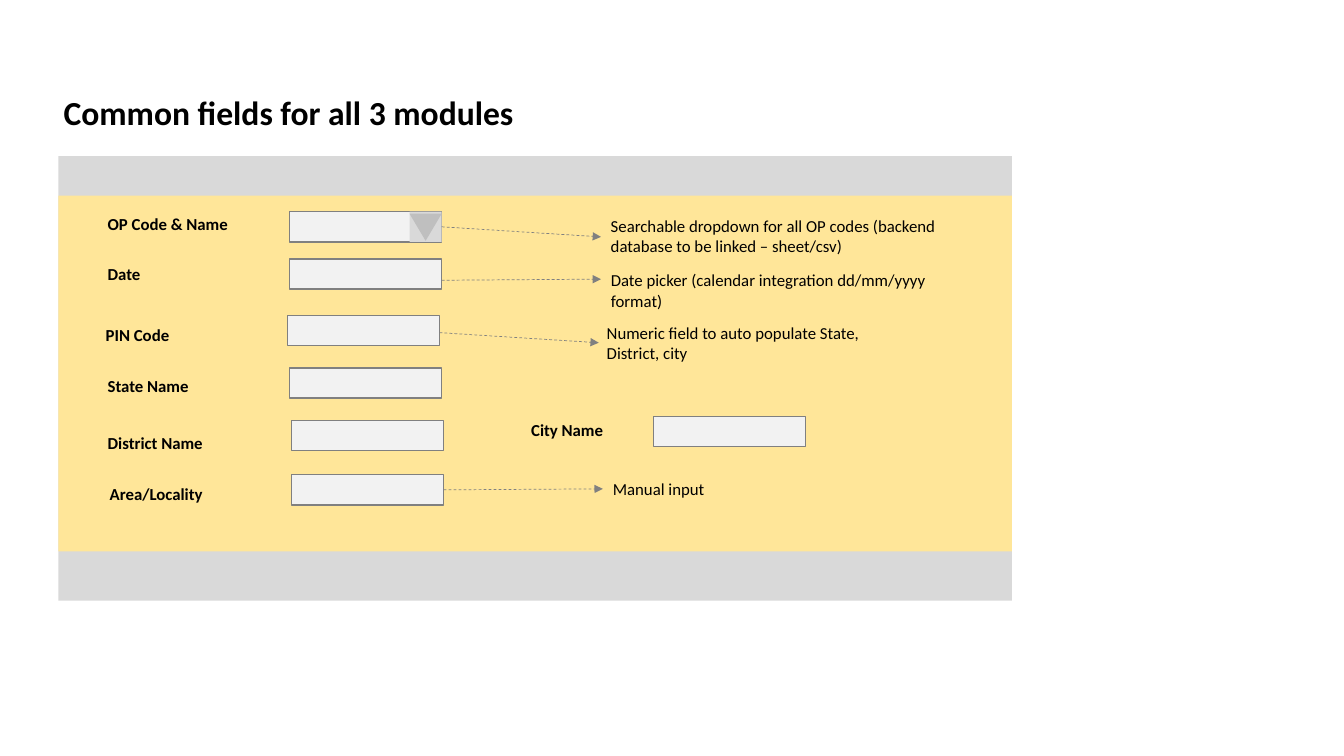
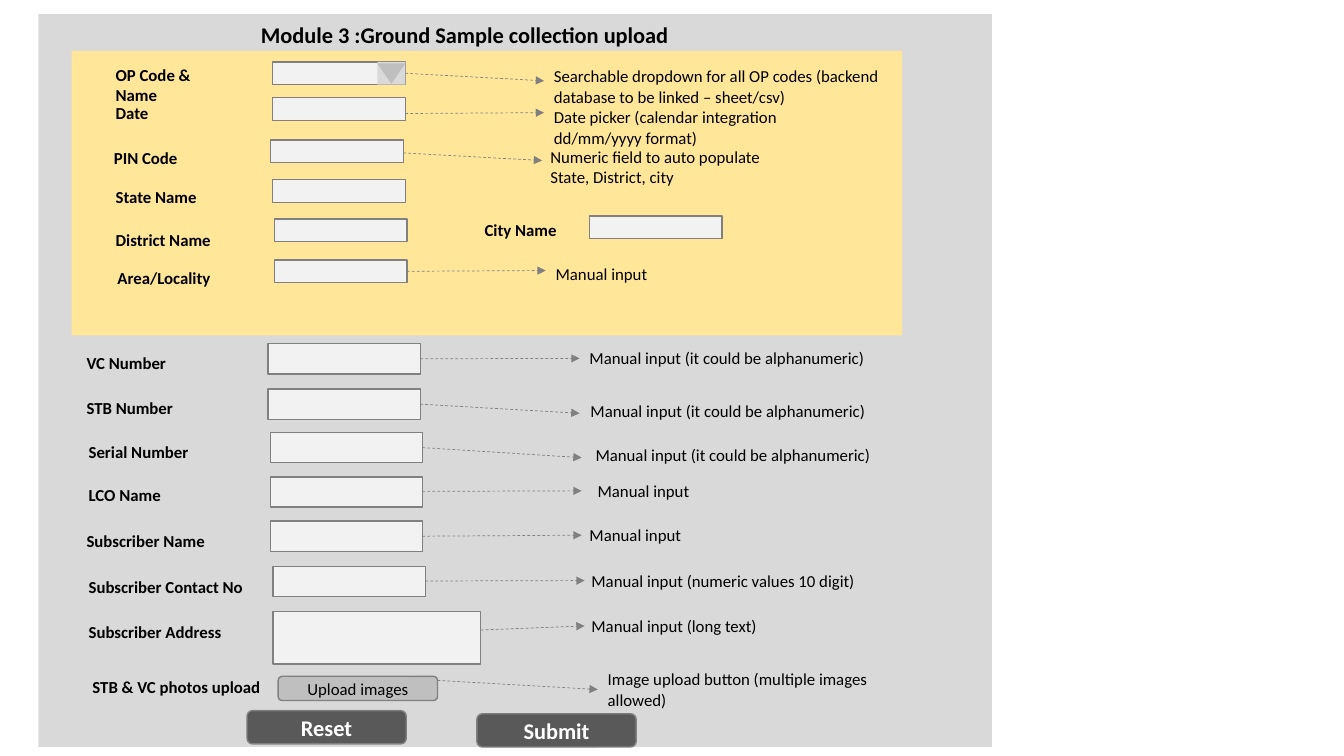
"""Builds two form wireframe slides: the common fields and the ground sample module."""
from dataclasses import dataclass

from lxml import etree
from pptx import Presentation
from pptx.dml.color import RGBColor
from pptx.enum.dml import MSO_LINE
from pptx.enum.shapes import MSO_CONNECTOR, MSO_SHAPE
from pptx.enum.text import MSO_ANCHOR, MSO_AUTO_SIZE, PP_ALIGN
from pptx.oxml.ns import qn
from pptx.util import Pt

RECT, ROUNDED, TRIANGLE = MSO_SHAPE.RECTANGLE, MSO_SHAPE.ROUNDED_RECTANGLE, MSO_SHAPE.ISOSCELES_TRIANGLE
STRAIGHT, DASH = MSO_CONNECTOR.STRAIGHT, MSO_LINE.DASH
TOP, MIDDLE = MSO_ANCHOR.TOP, MSO_ANCHOR.MIDDLE
LEFT, CENTER = PP_ALIGN.LEFT, PP_ALIGN.CENTER
GROW = MSO_AUTO_SIZE.SHAPE_TO_FIT_TEXT

BLACK = RGBColor(0, 0, 0)
WHITE = RGBColor(0xFF, 0xFF, 0xFF)
BAND = RGBColor(0xD9, 0xD9, 0xD9)
CREAM = RGBColor(0xFF, 0xE6, 0x99)
INPUT = RGBColor(0xF2, 0xF2, 0xF2)
OUTLINE = RGBColor(0x80, 0x80, 0x80)
SILVER = RGBColor(0xBF, 0xBF, 0xBF)
DARK = RGBColor(0x59, 0x59, 0x59)

FONT = "Calibri"
BODY_SIZE = 12
PANEL_WIDTH, PANEL_HEIGHT = 681.1, 317.5
INPUT_SIZE = (108.7, 21.6)
LINE_HEIGHT = 21.6


@dataclass
class Frame:
    """Origin and scale that place a group of parts on a slide."""
    left: float = 0
    top: float = 0
    across: float = 1
    down: float = 1

    def point(self, x, y):
        return Pt(self.left + x * self.across), Pt(self.top + y * self.down)

    def area(self, x, y, width, height):
        return (*self.point(x, y), Pt(width * self.across), Pt(height * self.down))


@dataclass
class Field:
    """A label with its input, and an optional note reached by an arrow."""
    label: str
    label_at: tuple
    input_at: tuple
    note: str = ""
    note_at: tuple = ()
    arrow_heights: tuple = ()
    label_width: float = 133.2
    note_width: float = 221
    input_size: tuple = INPUT_SIZE
    reach: float = 222.5
    dropdown: bool = False
    button: str = ""


COMMON_FIELDS = [
    Field("OP Code & Name", (28, 37.4), (165, 39.6),
          "Searchable dropdown for all OP codes (backend database to be linked – sheet/csv)",
          (387.4, 38.9), (50.4, 57.6), label_width=108.7, note_width=293, dropdown=True),
    Field("Date", (28, 73.4), (165, 73.4),
          "Date picker (calendar integration dd/mm/yyyy format)",
          (387.4, 77.8), (88.6, 87.8), note_width=265),
    Field("PIN Code", (26.6, 116.6), (163.4, 113.8),
          "Numeric field to auto populate State, District, city",
          (384.5, 115.2), (126, 133.2)),
    Field("State Name", (28, 153.4), (165, 151.2)),
    Field("District Name", (28, 193.7), (166.3, 188.6)),
    Field("City Name", (330.5, 185), (424.8, 185.8)),
    Field("Area/Locality", (29.5, 230.4), (166.3, 227.5),
          "Manual input", (388.8, 226.8), (238.3, 237.6), note_width=134),
]

ALPHANUMERIC = "Manual input (it could be alphanumeric)"
MODULE_FIELDS = [
    Field("VC Number", (54.7, 248.4), (191.5, 245.5), ALPHANUMERIC, (414, 244.8), (256.3, 256)),
    Field("STB Number", (54.7, 280.8), (191.5, 277.9), ALPHANUMERIC, (414.7, 283), (288.7, 295.2)),
    Field("Serial Number", (56.2, 311.8), (193, 308.9), ALPHANUMERIC, (418.3, 313.9), (319.7, 326.9)),
    Field("LCO Name", (56.2, 342.7), (193, 340.6), "Manual input", (419.8, 339.8), (351, 350.6)),
    Field("Subscriber Name", (54.7, 375.8), (193, 372.2), "Manual input", (414, 371.5), (383, 382.3)),
    Field("Subscriber Contact No", (56.2, 408.2), (195.1, 404.6),
          "Manual input (numeric values 10 digit)", (415.4, 403.9), (415, 414.7)),
    Field("Subscriber Address", (56.2, 440.6), (195.1, 437),
          "Manual input (long text)", (415.4, 436.3), (450, 447.1), input_size=(148.3, 37.4)),
    Field("STB & VC photos upload", (59, 480.2), (198.7, 483.1),
          "Image upload button (multiple images allowed)", (427, 474.5), (486, 492.5),
          label_width=155.5, input_size=(113.8, 17.3), reach=228.3, button="Upload images"),
]

ACTIONS = [("Reset", (176.4, 507.6)), ("Submit", (340.6, 509.8))]
ACTION_SIZE = (113.8, 23.8)
BACKDROP = (27.4, 10.1, 681.1, 523.4)

SLIDES = [
    {"title": "Common fields for all 3 modules", "title_area": (38.2, 61.9, 374.4, 36),
     "title_size": 24, "align": LEFT,
     "panel": (41.8, 111.6, PANEL_WIDTH, PANEL_HEIGHT), "cream": (28.1, 254.2)},
    {"title": "Module 3 :Ground Sample collection upload", "title_area": (157, 11.5, 350, 26.6),
     "title_size": 16, "align": CENTER, "backdrop": BACKDROP,
     "panel": (51.1, 14.4, 593.3, 239), "cream": (29.3, 270),
     "fields": MODULE_FIELDS, "actions": ACTIONS},
]


def write(shape, text, size=BODY_SIZE, bold=False, color=BLACK, align=LEFT, anchor=TOP):
    frame = shape.text_frame
    frame.word_wrap = True
    frame.vertical_anchor = anchor
    para = frame.paragraphs[0]
    para.alignment = align
    span = para.add_run()
    span.text = text
    span.font.name = FONT
    span.font.size = Pt(size)
    span.font.bold = bold
    span.font.color.rgb = color
    return frame


def add_text(page, area, text, bold=False):
    box = page.shapes.add_textbox(*area)
    write(box, text, bold=bold).auto_size = GROW


def add_block(page, area, fill, kind=RECT, outlined=False):
    block = page.shapes.add_shape(kind, *area)
    block.shadow.inherit = False
    block.fill.solid()
    block.fill.fore_color.rgb = fill
    if outlined:
        block.line.color.rgb = OUTLINE
        block.line.width = Pt(1)
    else:
        block.line.fill.background()
    return block


def add_button(page, area, text, fill, **style):
    button = add_block(page, area, fill, ROUNDED, outlined=True)
    write(button, text, align=CENTER, anchor=MIDDLE, **style)


def add_arrow(page, start, end):
    arrow = page.shapes.add_connector(STRAIGHT, *start, *end)
    arrow.line.color.rgb = OUTLINE
    arrow.line.width = Pt(0.5)
    arrow.line.dash_style = DASH
    properties = arrow.element.spPr
    etree.SubElement(properties.find(qn("a:ln")), qn("a:tailEnd"), type="triangle")
    etree.SubElement(properties, qn("a:effectLst"))


def add_field(page, field, frame):
    left, top = field.input_at
    width, height = field.input_size
    input_area = frame.area(left, top, width, height)
    add_text(page, frame.area(*field.label_at, field.label_width, LINE_HEIGHT), field.label, bold=True)
    if field.button:
        add_button(page, input_area, field.button, SILVER)
    else:
        add_block(page, input_area, INPUT, outlined=True)
    if field.dropdown:
        side = 23
        arrow_left = left + width - side
        add_block(page, frame.area(arrow_left, top, side, height), BAND)
        add_block(page, frame.area(arrow_left, top + 1.4, side, 19.4), SILVER, TRIANGLE).rotation = 180
    if field.note:
        add_text(page, frame.area(*field.note_at, field.note_width, LINE_HEIGHT), field.note)
        start_y, end_y = field.arrow_heights
        add_arrow(page, frame.point(left + width, start_y), frame.point(left + field.reach, end_y))


def add_common_panel(page, panel, cream):
    left, top, width, height = panel
    frame = Frame(left, top, width / PANEL_WIDTH, height / PANEL_HEIGHT)
    cream_top, cream_height = cream
    add_block(page, frame.area(0, 0, PANEL_WIDTH, PANEL_HEIGHT), BAND)
    add_block(page, frame.area(0, cream_top, PANEL_WIDTH, cream_height), CREAM)
    for field in COMMON_FIELDS:
        add_field(page, field, frame)


def set_title(page, content):
    title = page.shapes.title
    title.left, title.top, title.width, title.height = (Pt(length) for length in content["title_area"])
    write(title, content["title"], content["title_size"], True, align=content["align"])
    title.text_frame.auto_size = GROW
    title.element.getparent().append(title.element)


def add_page(deck, content):
    page = deck.slides.add_slide(deck.slide_layouts[5])
    whole = Frame()
    if "backdrop" in content:
        add_block(page, whole.area(*content["backdrop"]), BAND)
    add_common_panel(page, content["panel"], content["cream"])
    for field in content.get("fields", []):
        add_field(page, field, whole)
    for text, place in content.get("actions", []):
        add_button(page, whole.area(*place, *ACTION_SIZE), text, DARK, size=16, bold=True, color=WHITE)
    set_title(page, content)


def main():
    deck = Presentation()
    deck.slide_width, deck.slide_height = Pt(960), Pt(540)
    for content in SLIDES:
        add_page(deck, content)
    deck.save("out.pptx")


if __name__ == "__main__":
    main()
